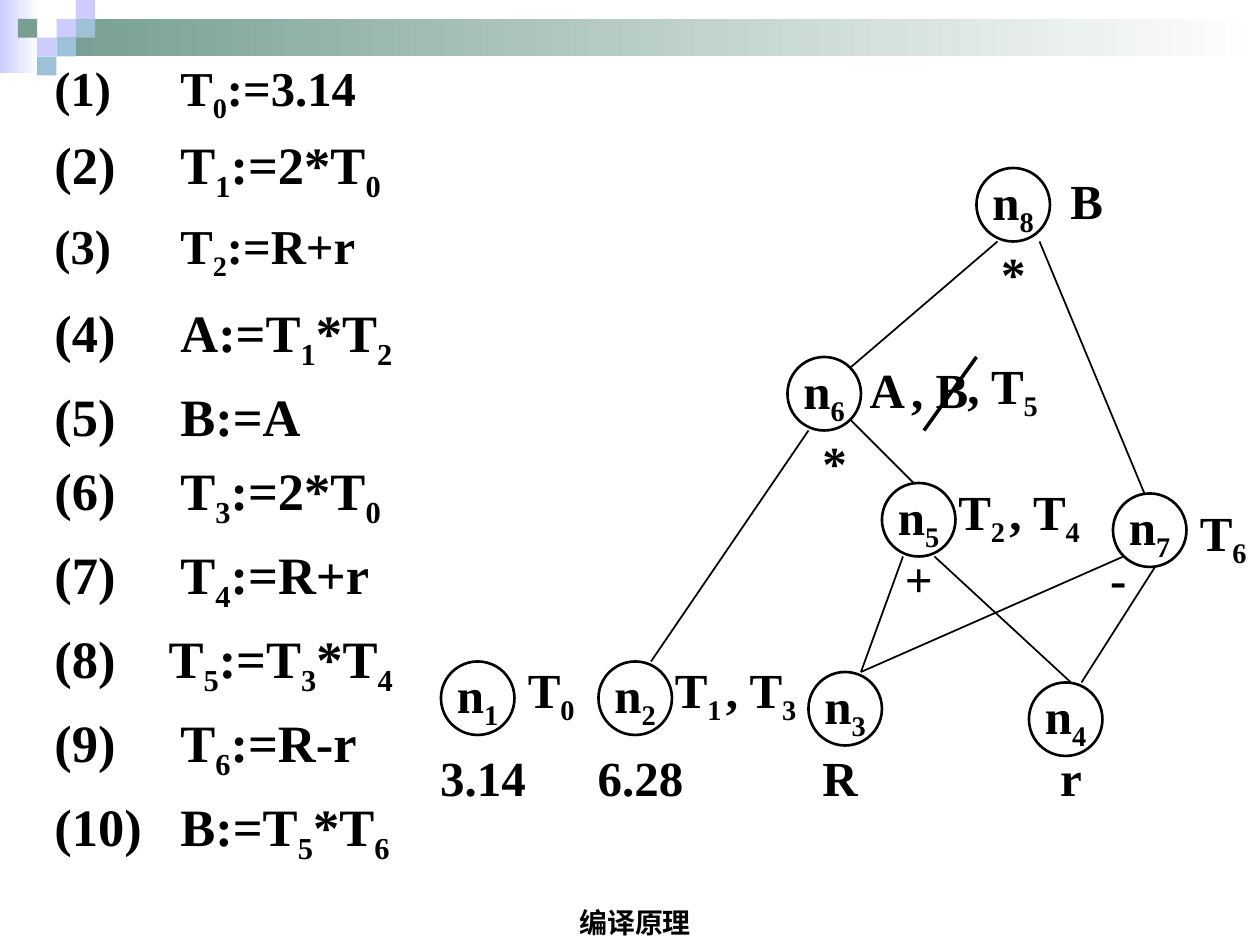
from pptx import Presentation
from pptx.dml.color import RGBColor
from pptx.enum.shapes import MSO_CONNECTOR, MSO_SHAPE
from pptx.enum.text import MSO_ANCHOR, PP_ALIGN
from pptx.oxml.ns import qn
from pptx.util import Cm, Pt
from lxml.etree import SubElement

COLORS = {"ink": "000000", "white": "FFFFFF", "lilac": "CCCCFF",
          "green": "779F92", "blue": "9DC2D7"}
SERIF = "Times New Roman"
UNIT = 2.54 / 12
NODE_SIZE = 7
LABEL_HEIGHT = 4

DECOR_SQUARES = [(2, 1, "lilac"), (3, 0, "lilac"), (3, 1, "blue"), (1, 2, "lilac"),
                 (0, 1, "green"), (2, 2, "blue"), (1, 3, "blue")]

STATEMENTS = [
    ("(1) \tT_0:=3.14", 0, 37, 8), ("(2) \tT_1:=2*T_0", 7, 36, 9),
    ("(3) \tT_2:=R+r", 15, 35, 8), ("(4) \tA:=T_1*T_2", 23, 36, 9),
    ("(5) \tB:=A", 31, 34, 8), ("(6) \tT_3:=2*T_0", 38, 36, 9),
    ("(7) \tT_4:=R+r", 46, 38, 10), ("(8)\tT_5:=T_3*T_4", 54, 40, 10),
    ("(9) \tT_6:=R-r", 62, 36, 9), ("(10)\tB:=T_5*T_6", 70, 36, 10),
]
COMPACT_ROWS = (0, 2)
NARROW_TAB_ROW = 7

NODES = [("n_1", 1, 47), ("n_2", 16, 47), ("n_3", 36, 48), ("n_4", 57, 49),
         ("n_5", 43, 30), ("n_6", 34, 18), ("n_7", 65, 31), ("n_8", 52, 0)]
EDGES = [(45, 37, 41, 48), (48, 37, 61, 49), (36, 25, 21, 47), (40, 24, 46, 30),
         (41, 48, 66, 37), (62, 49, 69, 38), (54, 7, 40, 19), (58, 7, 68, 31)]
STRIKE = (52, 18, 47, 25)
LABELS = {
    10: [("3.14", 0, 56), ("6.28", 15, 56), ("R", 34, 56), ("r", 56, 56)],
    5: [("+", 44, 37), ("*", 36, 26), ("-", 63, 37), ("*", 53, 8)],
    7: [("T_0", 8, 48), ("T_1", 22, 48), (", T_3", 28, 48), ("T_2", 49, 31),
        (", T_4", 55, 31), ("A", 40, 19), (", B", 45, 19), (", T_5", 51, 19),
        ("B", 59, 1), ("T_6", 72, 33)],
}


def color(name):
    return RGBColor.from_string(COLORS[name])


def grid(*counts):
    return [Cm(count * UNIT) for count in counts]


def add_run(paragraph, text, size, font_name=SERIF, subscript=False):
    run = paragraph.add_run()
    run.text = text
    run.font.name = font_name
    run.font.size = Pt(size)
    run.font.bold = True
    run.font.color.rgb = color("ink")
    if subscript:
        run._r.get_or_add_rPr().set("baseline", "-25000")


def add_formula(paragraph, formula, size):
    first, *rest = formula.split("_")
    add_run(paragraph, first, size)
    for part in rest:
        add_run(paragraph, part[0], size, subscript=True)
        if part[1:]:
            add_run(paragraph, part[1:], size)


def add_formula_shape(slide, kind, formula, left, top, width, height):
    shape = slide.shapes.add_shape(kind, *grid(left, top, width, height))
    shape.shadow.inherit = False
    shape.fill.background()
    shape.line.fill.background()
    frame = shape.text_frame
    frame.word_wrap = False
    frame.vertical_anchor = MSO_ANCHOR.MIDDLE
    paragraph = frame.paragraphs[0]
    paragraph.alignment = PP_ALIGN.CENTER
    add_formula(paragraph, formula, 28)
    return shape


def add_block(slide, left, top, width, height, fill, fade=False):
    block = slide.shapes.add_shape(MSO_SHAPE.RECTANGLE, Cm(left), Cm(top), Cm(width), Cm(height))
    block.shadow.inherit = False
    block.line.fill.background()
    if fade:
        block.fill.gradient()
        block.fill.gradient_angle = 0
        for stop, name in zip(block.fill.gradient_stops, (fill, "white")):
            stop.color.rgb = color(name)
    else:
        block.fill.solid()
        block.fill.fore_color.rgb = color(fill)


def add_line(slide, left, top, ends, weight):
    x1, y1, x2, y2 = ends
    line = slide.shapes.add_connector(
        MSO_CONNECTOR.STRAIGHT, *grid(left + x1, top + y1, left + x2, top + y2))
    line.line.color.rgb = color("ink")
    line.line.width = Pt(weight)
    SubElement(line._element.spPr, qn("a:effectLst"))


def add_header(slide, left, top, width):
    add_block(slide, left, top, 0.78, 1.48, "lilac", fade=True)
    add_block(slide, left + 1.14, top + 0.38, width - 1.14, 0.76, "green", fade=True)
    for column, row, name in DECOR_SQUARES:
        add_block(slide, left + 0.36 + column * 0.39, top + row * 0.38, 0.39, 0.38, name)


def add_footer(slide, left, top, width, height):
    footer = slide.shapes.add_textbox(Cm(left), Cm(top), Cm(width), Cm(height))
    frame = footer.text_frame
    frame.word_wrap = True
    frame.vertical_anchor = MSO_ANCHOR.BOTTOM
    frame.paragraphs[0].alignment = PP_ALIGN.CENTER
    add_run(frame.paragraphs[0], "编译原理", 16, "Arial")


def add_statements(slide, left, top):
    for row, (formula, offset, width, height) in enumerate(STATEMENTS):
        box = slide.shapes.add_textbox(*grid(left, top + offset, width, height))
        box.text_frame.word_wrap = True
        paragraph = box.text_frame.paragraphs[0]
        compact = row in COMPACT_ROWS
        if compact:
            paragraph.line_spacing = 0.9
        tabs = SubElement(paragraph._p.get_or_add_pPr(), qn("a:tabLst"))
        position = Cm(2.3 if row == NARROW_TAB_ROW else 2.54)
        SubElement(tabs, qn("a:tab"), pos=str(position), algn="l")
        add_formula(paragraph, formula, 27.8 if compact else 30)


def add_graph(slide, left, top):
    for ends in EDGES:
        add_line(slide, left, top, ends, 1)
    for name, x, y in NODES:
        node = add_formula_shape(
            slide, MSO_SHAPE.OVAL, name, left + x, top + y, NODE_SIZE, NODE_SIZE)
        node.line.color.rgb = color("ink")
        node.line.width = Pt(1.5)
    for width, labels in LABELS.items():
        for text, x, y in labels:
            add_formula_shape(
                slide, MSO_SHAPE.RECTANGLE, text, left + x, top + y, width, LABEL_HEIGHT)
    add_line(slide, left, top, STRIKE, 2)


def main():
    presentation = Presentation()
    presentation.slide_width = Cm(25.4)
    presentation.slide_height = Cm(19.05)
    slide = presentation.slides.add_slide(presentation.slide_layouts[6])
    add_header(slide, 0, 0, 25.4)
    add_footer(slide, 8.31, 17.78, 8.99, 1.27)
    add_statements(slide, 4, 5)
    add_graph(slide, 41, 16)
    presentation.save("out.pptx")


if __name__ == "__main__":
    main()
